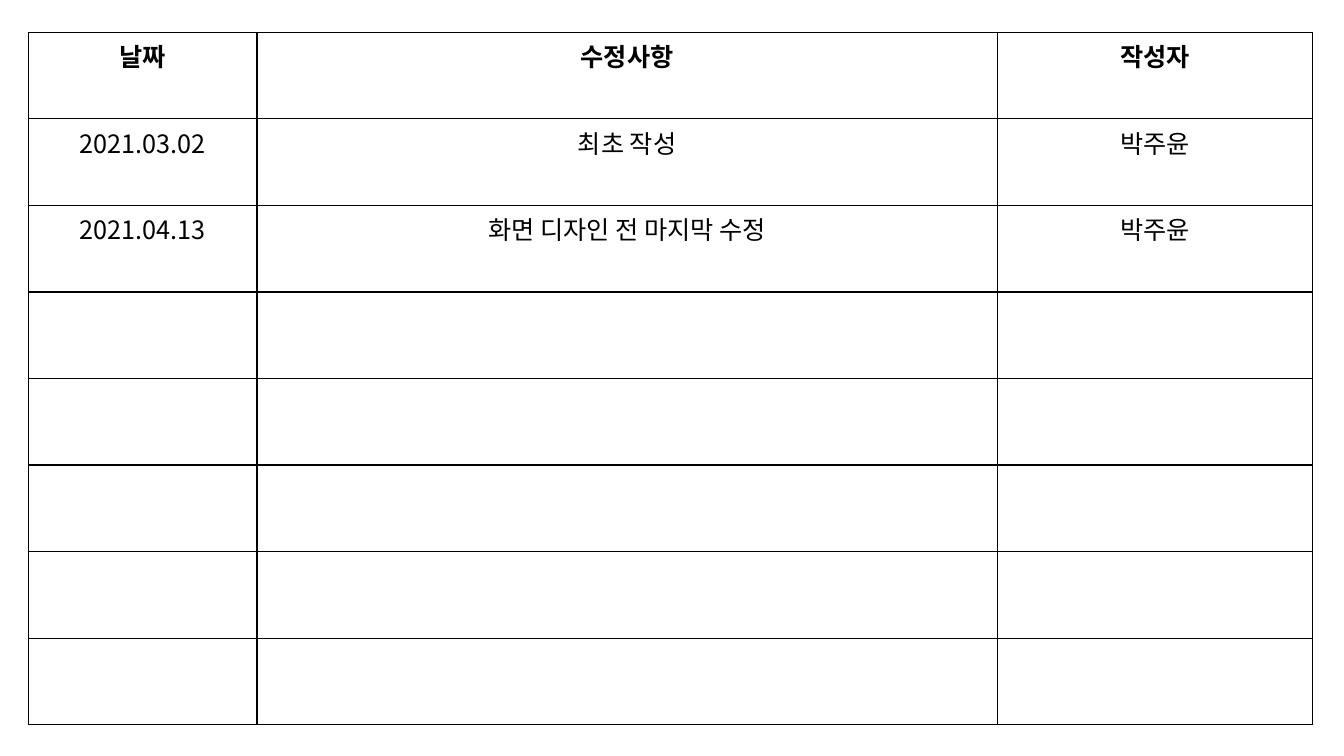
from lxml import etree
from pptx import Presentation
from pptx.dml.color import RGBColor
from pptx.enum.text import MSO_ANCHOR, PP_ALIGN
from pptx.oxml.ns import qn
from pptx.util import Inches, Pt

CENTER, TOP = PP_ALIGN.CENTER, MSO_ANCHOR.TOP
BLACK = RGBColor(0x00, 0x00, 0x00)
FONT = "Noto Sans CJK KR"

COLUMN_WIDTHS = [2.27, 7.34, 3.13]
HISTORY_ROWS = 8
HISTORY = [
    ["날짜", "수정사항", "작성자"],
    ["2021.03.02", "최초 작성", "박주윤"],
    ["2021.04.13", "화면 디자인 전 마지막 수정", "박주윤"],
]


def write_text(frame, text, size=18, bold=False, color=BLACK, align=CENTER):
    paragraph = frame.paragraphs[0]
    paragraph.alignment = align
    run = paragraph.add_run()
    run.text = text
    run.font.size = Pt(size)
    run.font.bold = bold
    run.font.color.rgb = color
    run.font.name = FONT
    # Korean glyphs use the East Asian font slot
    etree.SubElement(run.font._element, qn("a:ea"), typeface=FONT)


def outline_cell(cell, color=BLACK, width=1):
    properties = cell._tc.get_or_add_tcPr()
    for position, side in enumerate(("a:lnL", "a:lnR", "a:lnT", "a:lnB")):
        line = etree.Element(qn(side), w=str(Pt(width)))
        fill = etree.SubElement(line, qn("a:solidFill"))
        etree.SubElement(fill, qn("a:srgbClr"), val=str(color))
        properties.insert(position, line)


def add_revision_history(slide, left, top, width, height):
    frame = slide.shapes.add_table(
        HISTORY_ROWS, len(COLUMN_WIDTHS),
        Inches(left), Inches(top), Inches(width), Inches(height))
    table = frame.table
    table.horz_banding = False
    table.first_row = False

    # Column widths share the box in fixed proportions; rows are equal
    scale = width / sum(COLUMN_WIDTHS)
    for column, column_width in zip(table.columns, COLUMN_WIDTHS):
        column.width = Inches(column_width * scale)
    for row in table.rows:
        row.height = Inches(height / HISTORY_ROWS)

    # Grid
    for cell in table.iter_cells():
        cell.fill.background()
        cell.vertical_anchor = TOP
        outline_cell(cell)

    # Heading and entries
    for row_index, entry in enumerate(HISTORY):
        for column_index, text in enumerate(entry):
            cell = table.cell(row_index, column_index)
            write_text(cell.text_frame, text, bold=row_index == 0)


presentation = Presentation()
presentation.slide_width = Inches(13.33)
presentation.slide_height = Inches(7.5)
history_slide = presentation.slides.add_slide(presentation.slide_layouts[6])
add_revision_history(history_slide, 0.28, 0.32, 12.74, 6.87)
presentation.save("out.pptx")
